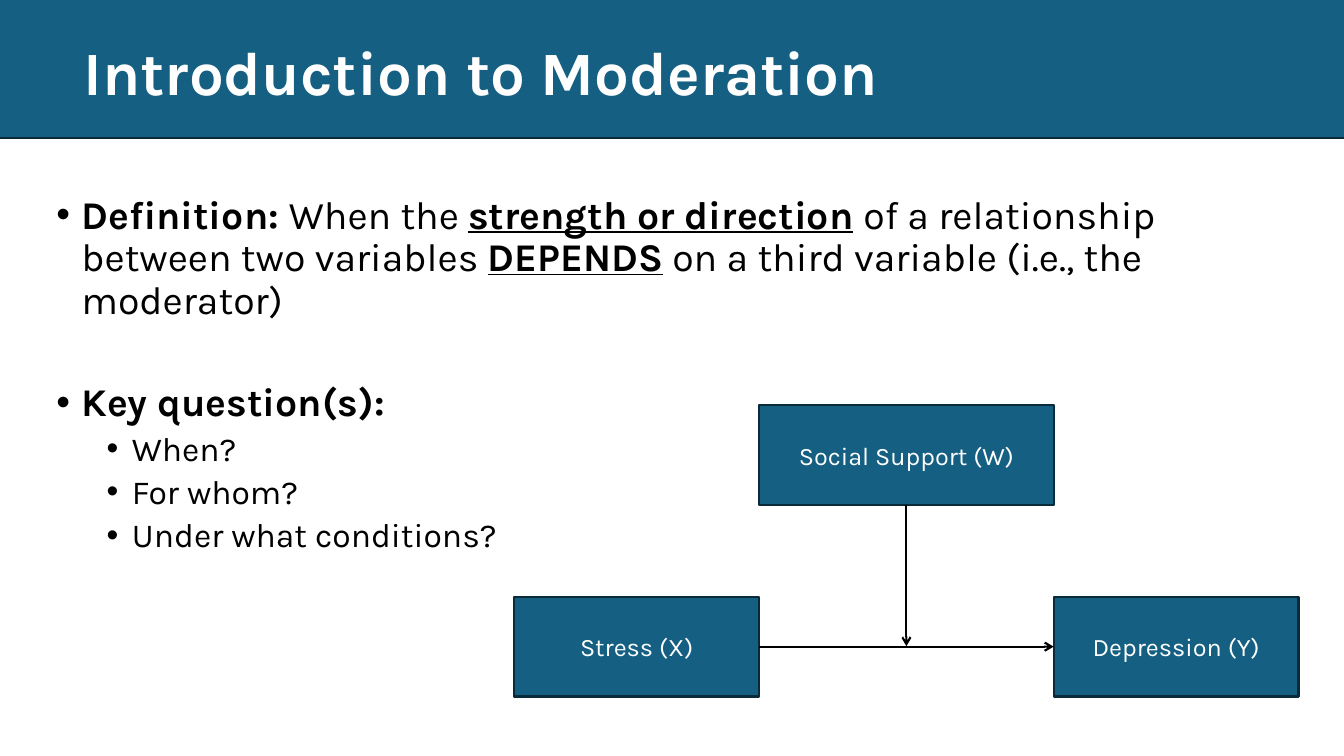
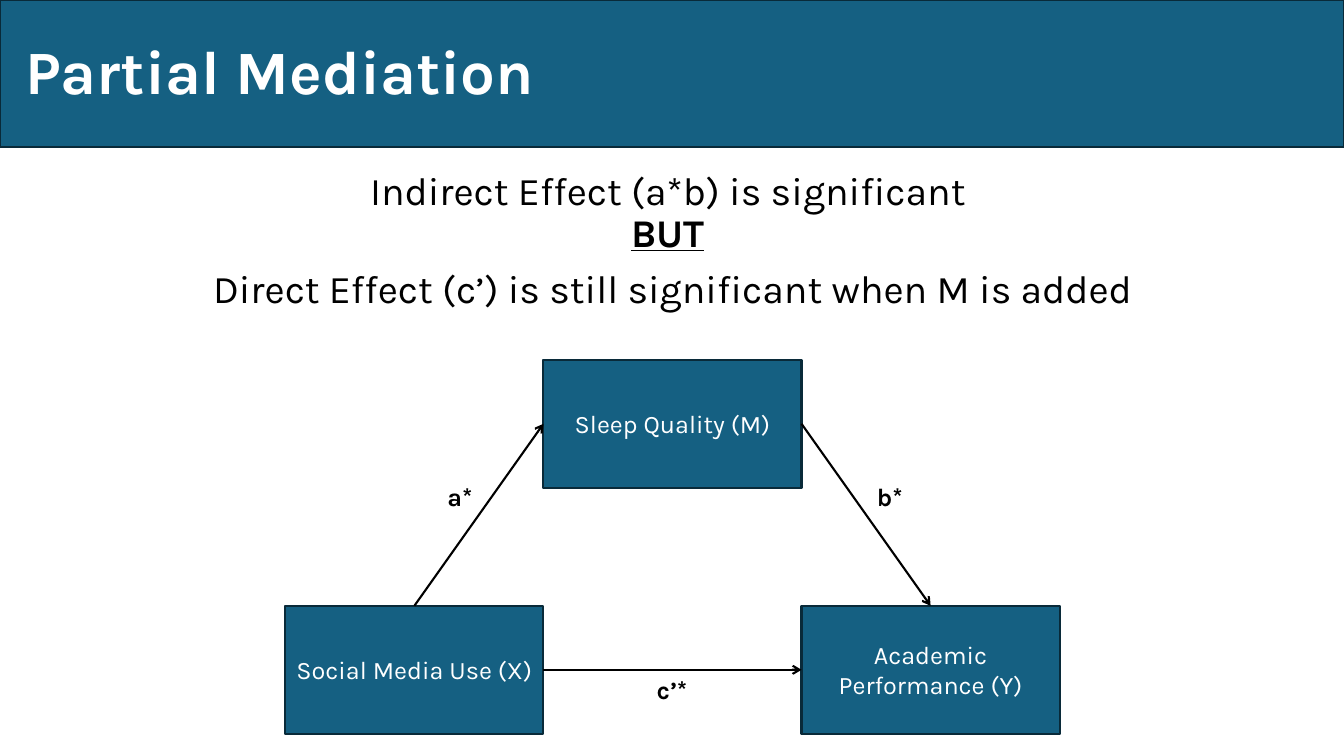
from lxml import etree
from pptx import Presentation
from pptx import util as u
from pptx.dml.color import RGBColor
from pptx.enum import shapes, text
from pptx.oxml.ns import qn

TOP, LEFT, BOTTOM, RIGHT = range(4)


def color(value):
    return RGBColor.from_string(value)


class Deck:
    """Hold the shared style and the current slide, and draw each kind of element."""

    FONT = "Karla"
    BLUE, EDGE, INK, PAPER = "156082", "092A39", "000000", "FFFFFF"
    CENTER = text.PP_ALIGN.CENTER

    def __init__(self):
        self.presentation = Presentation()
        self.presentation.slide_width = u.Inches(13.33)
        self.presentation.slide_height = u.Inches(7.5)
        self.slide = None

    def start_slide(self, title, title_left, title_top, band):
        self.slide = self.presentation.slides.add_slide(self.presentation.slide_layouts[6])
        self.rectangle(*band)
        frame = self.text_frame(title_left, title_top, 11.5, 1.45)
        frame.vertical_anchor = text.MSO_ANCHOR.MIDDLE
        paragraph = frame.paragraphs[0]
        paragraph.text = title
        paragraph.line_spacing = 0.9
        self.style(paragraph.runs[0], 44, self.PAPER, bold=True)

    def style(self, run, size, ink, bold=False, underline=False):
        run.font.name = self.FONT
        run.font.size = u.Pt(size)
        run.font.color.rgb = color(ink)
        run.font.bold = bold
        run.font.underline = underline

    def text_frame(self, left, top, width, height, wrap=True):
        frame = self.slide.shapes.add_textbox(*map(u.Inches, (left, top, width, height))).text_frame
        frame.word_wrap = wrap
        return frame

    def rectangle(self, left, top, width, height):
        shape = self.slide.shapes.add_shape(
            shapes.MSO_SHAPE.RECTANGLE, *map(u.Inches, (left, top, width, height)))
        shape.shadow.inherit = False
        shape.fill.solid()
        shape.fill.fore_color.rgb = color(self.BLUE)
        shape.line.color.rgb = color(self.EDGE)
        shape.line.width = u.Pt(1.5)
        return shape

    def variable(self, name, left, top, width, height):
        shape = self.rectangle(left, top, width, height)
        frame = shape.text_frame
        frame.word_wrap = True
        frame.vertical_anchor = text.MSO_ANCHOR.MIDDLE
        paragraph = frame.paragraphs[0]
        paragraph.text = name
        paragraph.alignment = self.CENTER
        self.style(paragraph.runs[0], 18, self.PAPER)
        return shape

    def label(self, name, left, top, width, centered=False):
        paragraph = self.text_frame(left, top, width, 0.4, wrap=centered).paragraphs[0]
        paragraph.text = name
        if centered:
            paragraph.alignment = self.CENTER
        self.style(paragraph.runs[0], 18, self.INK, bold=True)

    def paragraph(self, frame, pieces, size=28, before=10, first=False):
        paragraph = frame.paragraphs[0] if first else frame.add_paragraph()
        paragraph.line_spacing = 0.9
        paragraph.space_before = u.Pt(before)
        for words, marks in pieces:
            if words == "\n":
                paragraph.add_line_break()
                continue
            run = paragraph.add_run()
            run.text = words
            self.style(run, size, self.INK, "b" in marks, "u" in marks)
        return paragraph

    def bullet(self, paragraph, indent):
        properties = paragraph._p.get_or_add_pPr()
        properties.set("marL", str(u.Inches(indent)))
        properties.set("indent", str(u.Inches(-0.25)))
        etree.SubElement(properties, qn("a:buFont")).set("typeface", "Arial")
        etree.SubElement(properties, qn("a:buChar")).set("char", "•")

    def arrow(self, source, source_side, target=None, target_side=None, end=(0, 0)):
        connector = self.slide.shapes.add_connector(
            shapes.MSO_CONNECTOR.STRAIGHT, 0, 0, *map(u.Inches, end))
        connector.begin_connect(source, source_side)
        if target is not None:
            connector.end_connect(target, target_side)
        connector.line.color.rgb = color(self.INK)
        connector.line.width = u.Pt(1.5)
        line = connector.line._get_or_add_ln()
        etree.SubElement(line, qn("a:tailEnd")).set("type", "arrow")
        etree.SubElement(connector._element.spPr, qn("a:effectLst"))


def moderation(deck):
    deck.start_slide("Introduction to Moderation", 0.73, 0.02, (-0.71, -0.41, 15.57, 1.78))
    frame = deck.text_frame(0.46, 1.89, 12.42, 4.76)
    definition = [
        ("Definition: ", "b"), ("When the ", ""), ("strength or direction", "bu"),
        (" ", "b"), ("of a relationship between two variables ", ""), ("DEPENDS", "bu"),
        (" on a third variable (i.e., the moderator)", ""),
    ]
    deck.bullet(deck.paragraph(frame, definition, first=True), 0.25)
    deck.bullet(deck.paragraph(frame, [("Key question(s):", "b")], before=43), 0.25)
    for question in ("When?", "For whom?", "Under what conditions?"):
        deck.bullet(deck.paragraph(frame, [(question, "")], size=24, before=5), 0.75)

    stress = deck.variable("Stress (X)", 5.1, 5.92, 2.43, 0.99)
    depression = deck.variable("Depression (Y)", 10.45, 5.92, 2.43, 0.99)
    support = deck.variable("Social Support (W)", 7.53, 4.02, 2.92, 0.99)
    deck.arrow(stress, RIGHT, depression, LEFT)
    deck.arrow(support, BOTTOM, end=(8.99, 6.41))


def mediation(deck):
    deck.start_slide("Partial Mediation", 0.15, 0.01, (0, 0, 13.33, 1.46))
    frame = deck.text_frame(1.99, 1.65, 9.36, 2.09)
    indirect = [("Indirect Effect (a*b) is significant ", ""), ("\n", ""), ("BUT", "bu"), (" ", "")]
    direct = [("Direct Effect (c’) is still significant when M is added", "")]
    for index, pieces in enumerate((indirect, direct)):
        deck.paragraph(frame, pieces, first=index == 0).alignment = deck.CENTER

    left, width, height = 2.83, 2.56, 1.27
    media = deck.variable("Social Media Use (X)", left, 6.01, width, height)
    sleep = deck.variable("Sleep Quality (M)", left + width, 3.57, width, height)
    academic = deck.variable("Academic Performance (Y)", left + 2 * width, 6.01, width, height)
    deck.arrow(media, RIGHT, academic, LEFT)
    deck.arrow(media, TOP, sleep, LEFT)
    deck.arrow(sleep, RIGHT, academic, TOP)
    deck.label("a*", 4.34, 4.73, 0.46)
    deck.label("b*", 8.6, 4.73, 0.46)
    deck.label("c’*", 6.23, 6.64, 0.87, centered=True)


def main():
    deck = Deck()
    moderation(deck)
    mediation(deck)
    deck.presentation.save("out.pptx")


if __name__ == "__main__":
    main()
